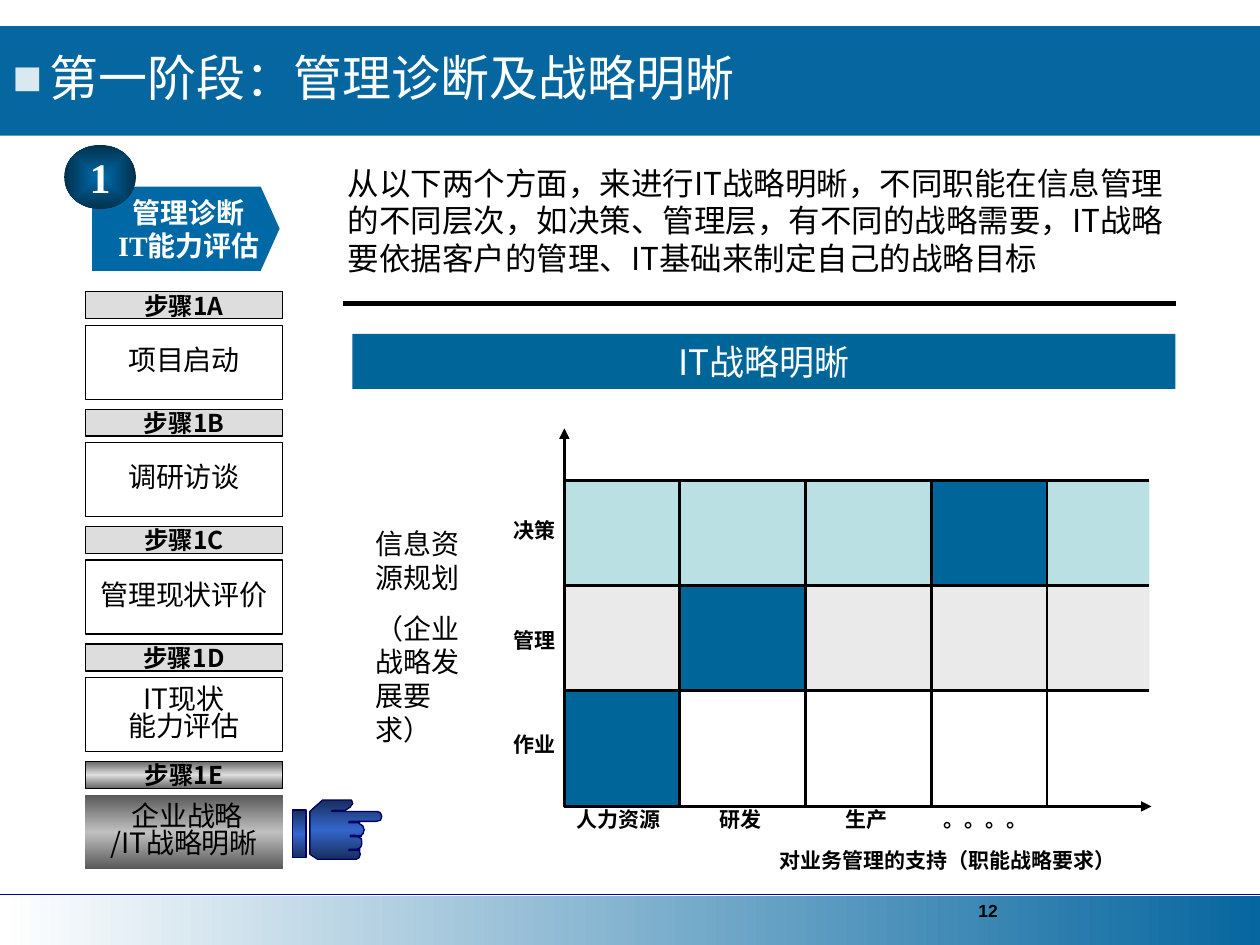
from lxml import etree
from pptx import Presentation
from pptx.dml.color import RGBColor
from pptx.enum.shapes import MSO_CONNECTOR, MSO_SHAPE
from pptx.enum.text import MSO_ANCHOR, PP_ALIGN
from pptx.oxml import parse_xml
from pptx.oxml.ns import nsdecls, qn
from pptx.util import Pt

RECT, OVAL, ROUNDED = MSO_SHAPE.RECTANGLE, MSO_SHAPE.OVAL, MSO_SHAPE.ROUNDED_RECTANGLE
STRAIGHT = MSO_CONNECTOR.STRAIGHT
LEFT, CENTER = PP_ALIGN.LEFT, PP_ALIGN.CENTER
TOP, MIDDLE = MSO_ANCHOR.TOP, MSO_ANCHOR.MIDDLE
SANS, SERIF, ARIAL = "Noto Sans CJK SC", "Times New Roman", "Arial"
COLORS = {
    "black": "000000", "white": "FFFFFF", "header": "06669F", "bullet": "DAE8F1",
    "rule": "000099", "blue": "006699", "banner": "0068A5", "badge_edge": "00304C",
    "management": "EAEAEA", "decision": "BBE0E3", "step": "DDDDDD",
    "step_edge": "666666", "active": "C0C0C0", "active_edge": "595959",
    "hand": "3366CC", "hand_edge": "182F5E", "hand_line": "000066",
}
STEP_GLOW = ("step_edge", "step", "step_edge")
ACTIVE_GLOW = ("active_edge", "active", "active_edge")
HAND_GLOW = ("hand_edge", "hand", "hand_edge")


def rgb(name):
    return RGBColor.from_string(COLORS[name])


def write_text(frame, text, size=16, color="black", font=SANS, bold=False, align=LEFT,
               anchor=TOP, wrap=True, spacing=None, gap=0, bullet=None):
    frame.word_wrap = wrap
    frame.vertical_anchor = anchor
    frame.margin_left = frame.margin_right = Pt(7.2)
    frame.margin_top = frame.margin_bottom = Pt(3.6)
    for index, line in enumerate(text.split("\n")):
        paragraph = frame.add_paragraph() if index else frame.paragraphs[0]
        if bullet:
            props = paragraph._p.get_or_add_pPr()
            props.set("marL", str(Pt(21)))
            props.set("indent", str(-Pt(21)))
            tint = etree.SubElement(props, qn("a:buClr"))
            etree.SubElement(tint, qn("a:srgbClr"), val=COLORS["bullet"])
            etree.SubElement(props, qn("a:buFont"), typeface=font)
            etree.SubElement(props, qn("a:buChar"), char=bullet)
        paragraph.alignment = align
        if spacing:
            paragraph.line_spacing = spacing
        paragraph.space_before = Pt(gap if index else 0)
        run = paragraph.add_run()
        run.text = line
        run.font.size = Pt(size)
        run.font.bold = bold
        run.font.name = font
        run.font.color.rgb = rgb(color)
        east_asian = etree.SubElement(run._r.get_or_add_rPr(), qn("a:ea"))
        east_asian.set("typeface", SANS)


class SlideBuilder:
    def __init__(self, slide):
        self.slide = slide
        self.shapes = slide.shapes

    def title(self, text, x, y, w, h):
        title = self.shapes.title
        title.left, title.top, title.width, title.height = Pt(x), Pt(y), Pt(w), Pt(h)
        title.fill.solid()
        title.fill.fore_color.rgb = rgb("header")
        write_text(title.text_frame, text, size=28, color="white", font=ARIAL,
                   anchor=MIDDLE, spacing=0.9, bullet="■")

    def paint(self, shape, fill, line, weight, angle=90, radial=False):
        shape.shadow.inherit = False
        if isinstance(fill, tuple):
            step = 100000 // (len(fill) - 1)
            stops = "".join(f'<a:gs pos="{i * step}"><a:srgbClr val="{COLORS[c]}"/></a:gs>'
                            for i, c in enumerate(fill))
            course = f'<a:lin ang="{angle * 60000}" scaled="0"/>'
            if radial:
                course = ('<a:path path="rect"><a:fillToRect l="50000" t="50000" '
                          'r="50000" b="50000"/></a:path>')
            gradient = parse_xml(f'<a:gradFill {nsdecls("a")}><a:gsLst>{stops}</a:gsLst>'
                                 f'{course}</a:gradFill>')
            shape._element.spPr.insert(2, gradient)
        elif fill:
            shape.fill.solid()
            shape.fill.fore_color.rgb = rgb(fill)
        else:
            shape.fill.background()
        if line:
            shape.line.color.rgb = rgb(line)
            shape.line.width = Pt(weight)
        else:
            shape.line.fill.background()

    def box(self, x, y, w, h, fill=None, line=None, weight=0.75, kind=RECT,
            angle=90, radial=False, text=None, **style):
        shape = self.shapes.add_shape(kind, Pt(x), Pt(y), Pt(w), Pt(h))
        self.paint(shape, fill, line, weight, angle, radial)
        if text:
            write_text(shape.text_frame, text, align=CENTER, anchor=MIDDLE, **style)

    def outline(self, points, fill, line=None):
        start, *rest = [(Pt(x), Pt(y)) for x, y in points]
        builder = self.shapes.build_freeform(*start)
        builder.add_line_segments(rest, close=True)
        self.paint(builder.convert_to_shape(), fill, line, 0.75)

    def label(self, text, x, y, w, h, **style):
        label = self.shapes.add_textbox(Pt(x), Pt(y), Pt(w), Pt(h))
        write_text(label.text_frame, text, **style)

    def line(self, x1, y1, x2, y2, color="black", weight=1.5, arrow=False):
        line = self.shapes.add_connector(STRAIGHT, Pt(x1), Pt(y1), Pt(x2), Pt(y2))
        line.line.color.rgb = rgb(color)
        line.line.width = Pt(weight)
        if arrow:
            etree.SubElement(line.line._get_or_add_ln(), qn("a:tailEnd"), type="triangle")
        etree.SubElement(line._element.spPr, qn("a:effectLst"))


def add_frame(page):
    page.box(0, 512, 720, 29.5, fill=("white", "header"), angle=0)
    page.line(0, 511.2, 720, 511.2, color="rule", weight=1)
    page.title("第一阶段：管理诊断及战略明晰", 0, 15, 720, 62.5)
    page.label("12", 552, 510.5, 168, 26, size=10, font=ARIAL, bold=True)


def add_matrix(page):
    columns = [322.5, 388.3, 460.3, 532.3, 598.3]
    rows = [274.5, 334.5, 394.5, 460.8]
    left, right, bottom = columns[0], 656.8, rows[-1]
    page.label("信息资源规划\n（企业战略发展要求）", 207.4, 297.4, 67, 132.5,
               font=SERIF, gap=10)
    for row, tint in enumerate(("decision", "management")):
        page.box(left, rows[row], right - left, rows[row + 1] - rows[row], fill=tint)
    page.line(left, bottom, left, 244.8, arrow=True)
    page.line(left, bottom, 658, bottom, arrow=True)
    for y in rows[:-1]:
        page.line(left, y, right, y)
    for x in columns[1:]:
        page.line(x, rows[0], x, bottom)
    for column, row in ((0, 2), (1, 1), (3, 0)):
        page.box(columns[column], rows[row], columns[column + 1] - columns[column],
                 rows[row + 1] - rows[row], fill="blue", line="black", weight=1.5)
    heading = dict(size=12, font=SERIF, bold=True, align=CENTER)
    for text, center in (("人力资源", 353.5), ("研发", 423), ("生产", 495), ("。。。。", 563)):
        page.label(text, center - 36, 457.2, 72, 21.6, wrap=False, **heading)
    for text, y in (("决策", 292.3), ("管理", 355), ("作业", 414.7)):
        page.label(text, 280.2, y, 50, 21.6, wrap=False, **heading)
    page.label("对业务管理的支持（职能战略要求）", 418.3, 481, 246.2, 21.6, **heading)


def add_summary(page):
    page.box(201.3, 190.8, 470.4, 31.4, fill="blue", text="IT战略明晰", size=20, color="white")
    page.label("从以下两个方面，来进行IT战略明晰，不同职能在信息管理的不同层次，如决策、管理层，"
               "有不同的战略需要，IT战略要依据客户的管理、IT基础来制定自己的战略目标",
               191.5, 90, 486, 72, size=18)
    page.line(195.8, 173.5, 671.8, 173.5, weight=3)


def add_steps(page):
    page.outline([(52.6, 106.6), (149, 106.6), (159.8, 130.7), (149, 154.8), (52.6, 154.8)],
                 "banner")
    page.box(36.7, 82.8, 41, 36.7, fill=("banner", "badge_edge"), kind=OVAL, radial=True,
             text="1", size=24, color="white", font=SERIF, bold=True, wrap=False)
    page.label("管理诊断\nIT能力评估", 47.9, 105.7, 120, 50, color="white", font=SERIF,
               bold=True, align=CENTER, anchor=MIDDLE, wrap=False)
    steps = [("A", "项目启动"), ("B", "调研访谈"), ("C", "管理现状评价"),
             ("D", "IT现状\n能力评估"), ("E", " 企业战略\n/IT战略明晰")]
    for index, (letter, task) in enumerate(steps):
        y = 166.7 + index * 67.1
        active = letter == "E"
        page.box(48.7, y, 113, 15.4, fill=STEP_GLOW if active else "step", line="black",
                 text="步骤1" + letter, size=14, bold=True, wrap=False)
        page.box(48.7, y + 19.2, 113, 42.3, fill=ACTIVE_GLOW if active else None,
                 line=None if active else "black", text=task, spacing=0.8)


def add_hand(page):
    page.box(167, 462.8, 8, 27.4, fill=HAND_GLOW, line="hand_line")
    page.outline([
        (214.6, 469.4), (205.2, 469.4), (205.2, 470.6), (207.4, 472), (208.1, 474.2),
        (207.4, 476.6), (205.9, 478), (204.5, 478.2), (206.6, 479.4), (206.8, 482.4),
        (206, 484.4), (203.8, 485.4), (205.4, 486.4), (205.9, 488.2), (205.2, 490.2),
        (203.8, 491), (181.4, 491), (177.1, 488.2), (177.1, 463.7), (184.3, 457.2),
        (200.9, 457.2), (201.6, 459.2), (200, 461.4), (197.3, 463), (190, 463),
        (189.4, 463.7), (215.3, 463.7), (217.4, 464.4), (218.2, 466.6), (217.4, 468.8),
    ], HAND_GLOW, "hand_line")
    for x, y in ((199.4, 469.4), (200.2, 477.4), (199.4, 485.3)):
        page.box(x, y, 6.2, 0.8, fill=HAND_GLOW, line="hand_line", kind=ROUNDED)


def main():
    deck = Presentation()
    deck.slide_width, deck.slide_height = Pt(720), Pt(540)
    page = SlideBuilder(deck.slides.add_slide(deck.slide_layouts[5]))
    for add_part in (add_frame, add_matrix, add_summary, add_steps, add_hand):
        add_part(page)
    deck.save("out.pptx")


if __name__ == "__main__":
    main()
